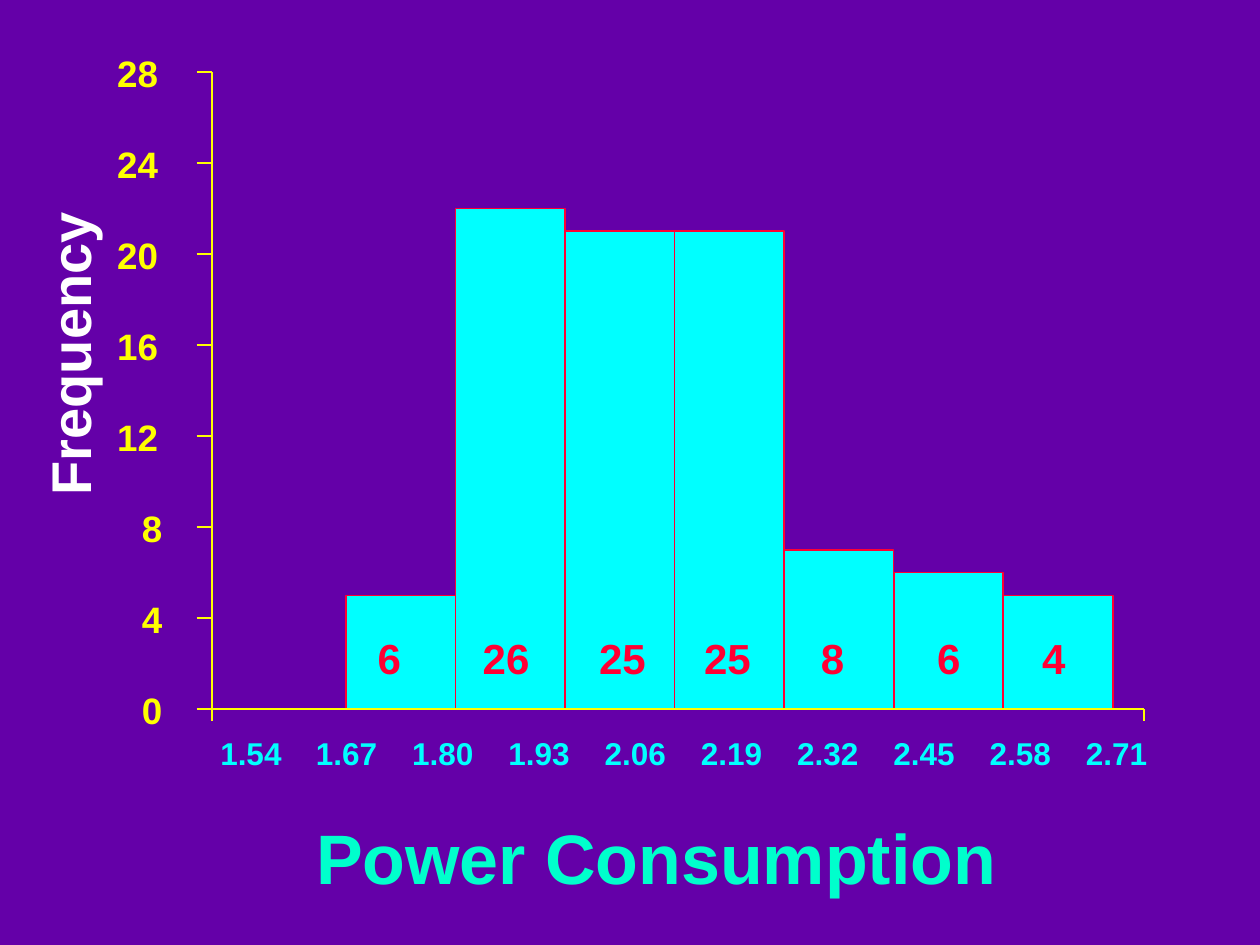
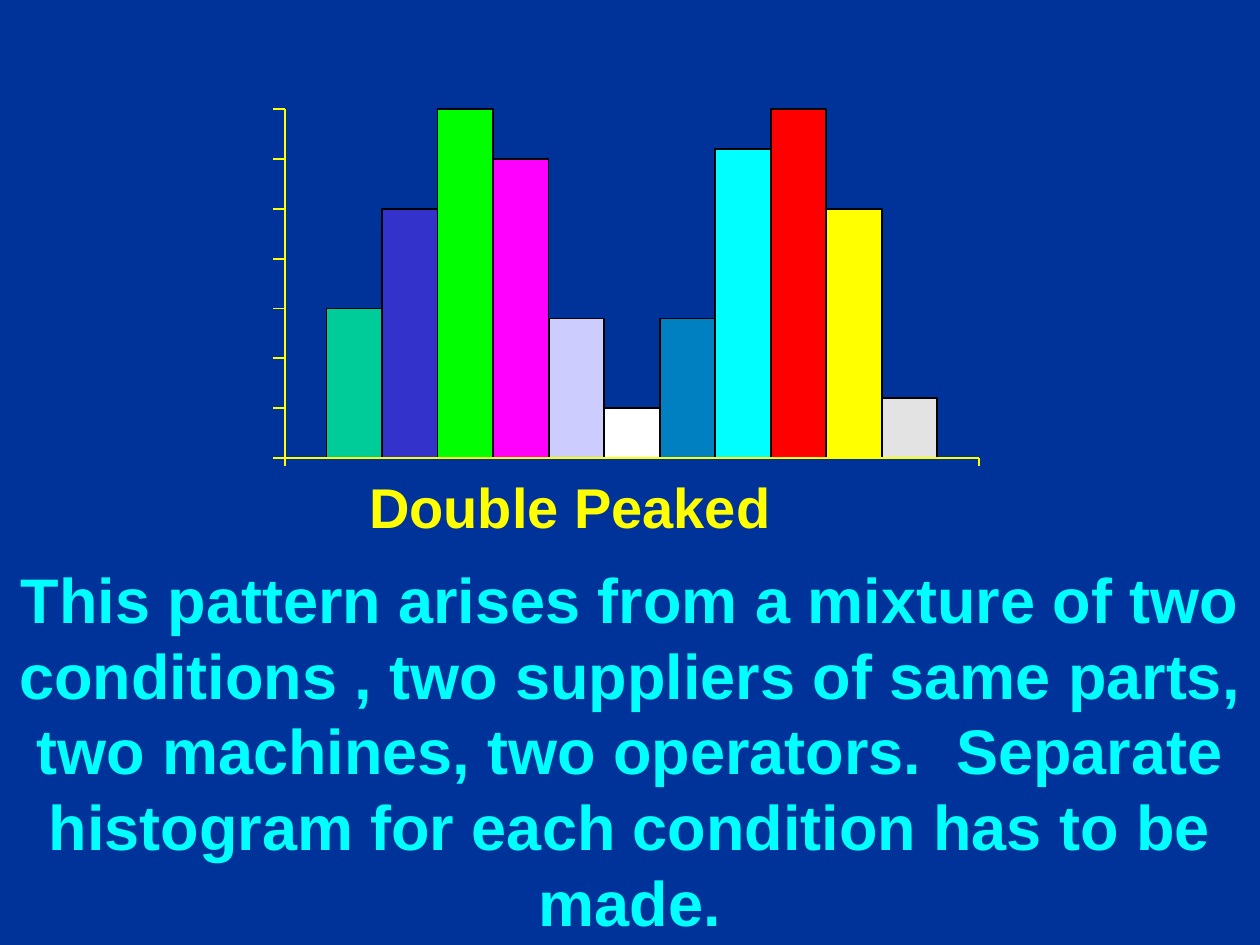
from dataclasses import dataclass

from lxml.etree import SubElement as Sub
from pptx import Presentation
from pptx.dml.color import RGBColor as RGB
from pptx.enum.shapes import MSO_CONNECTOR as Conn, MSO_SHAPE as Shape
from pptx.enum.text import PP_ALIGN as Align
from pptx.oxml.ns import qn
from pptx.util import Pt


@dataclass(frozen=True)
class Theme:
    font: str = "Arial"
    purple: str = "6400A8"
    navy: str = "003399"
    cyan: str = "00FFFF"
    mint: str = "00FFCC"
    yellow: str = "FFFF00"
    red: str = "FF0033"
    white: str = "FFFFFF"
    black: str = "000000"
    peaks: tuple = ("00CC99", "3333CC", "00FF00", "FF00FF", "CCCCFF", "FFFFFF",
                    "0080C0", "00FFFF", "FF0000", "FFFF00", "E3E3E3")
    line: float = 1
    title: int = 40
    body: int = 36
    label: int = 32
    count: int = 24
    scale: int = 21
    bound: int = 18


@dataclass(frozen=True)
class Axes:
    """Frame of a histogram; seven equal steps rise from base."""
    left: float
    right: float
    base: float
    step: float
    tick: float
    foot: float
    steps: int = 7


T = Theme()


def add_slide(deck, color):
    slide = deck.slides.add_slide(deck.slide_layouts[6])
    fill = slide.background.fill
    fill.solid()
    fill.fore_color.rgb = RGB.from_string(color)
    return slide


def add_text(slide, text, box, size, color, align=Align.LEFT, wrap=True, tabs=()):
    """Bold text; tabs are centred stops in points from the text edge."""
    shape = slide.shapes.add_textbox(*map(Pt, box))
    frame = shape.text_frame
    frame.word_wrap = wrap
    para = frame.paragraphs[0]
    para.alignment = align
    if tabs:
        stops = Sub(para._p.get_or_add_pPr(), qn("a:tabLst"))
        for pos in tabs:
            Sub(stops, qn("a:tab"), pos=str(int(Pt(pos))), algn="ctr")
    run = para.add_run()
    run.text = text
    form = {"name": T.font, "size": Pt(size), "bold": True}
    for key, value in form.items():
        setattr(run.font, key, value)
    run.font.color.rgb = RGB.from_string(color)
    return shape


def add_row(slide, words, box, size, color, tabs):
    """One line of words, each centred on its own tab stop."""
    text = "".join("\t" + word for word in words)
    add_text(slide, text, box, size, color, tabs=tabs)


def add_line(slide, x1, y1, x2, y2):
    line = slide.shapes.add_connector(Conn.STRAIGHT, *map(Pt, (x1, y1, x2, y2)))
    line.line.color.rgb = RGB.from_string(T.yellow)
    line.line.width = Pt(T.line)
    Sub(line._element.spPr, qn("a:effectLst"))


def add_bars(slide, axes, left, width, values, fills, edge, unit):
    """Touching bars; unit is the height of a value of one."""
    for i, (value, color) in enumerate(zip(values, fills)):
        high = value * unit
        box = left + i * width, axes.base - high, width, high
        bar = slide.shapes.add_shape(Shape.RECTANGLE, *map(Pt, box))
        bar.shadow.inherit = False
        bar.fill.solid()
        bar.fill.fore_color.rgb = RGB.from_string(color)
        bar.line.color.rgb = RGB.from_string(edge)
        bar.line.width = Pt(T.line)


def add_axes(slide, axes):
    left, right, base = axes.left, axes.right, axes.base
    add_line(slide, left, base - axes.steps * axes.step, left, base)
    for i in range(axes.steps + 1):
        y = base - i * axes.step
        add_line(slide, left - axes.tick, y, left, y)
    add_line(slide, left, base, right, base)
    for x in (left, right):
        add_line(slide, x, base + axes.foot, x, base)


def power_slide(deck):
    slide = add_slide(deck, T.purple)
    add_text(slide, "Power Consumption", (108, 462, 534, 55), T.title, T.mint,
             Align.CENTER)

    axes = Axes(left=121, right=653.8, base=405.2, step=52, tick=8.6, foot=6.6)
    freqs = 5, 22, 21, 21, 7, 6, 5
    add_bars(slide, axes, 197.7, 62.6, freqs, [T.cyan] * len(freqs), T.red,
             axes.step / 4)
    add_axes(slide, axes)

    for i in range(axes.steps + 1):
        mark = str(4 * i)
        left, width = (74, 26) if len(mark) == 1 else (59.8, 38)
        top = axes.base - 15.6 - i * axes.step
        add_text(slide, mark, (left, top, width, 32), T.scale, T.yellow, wrap=False)

    bounds = [f"{1.54 + 0.13 * i:.2f}" for i in range(10)]
    add_row(slide, bounds, (118.8, 416, 560, 29), T.bound, T.cyan,
            [17.2 + 55 * i for i in range(10)])
    name = add_text(slide, "Frequency", (-49, 179.3, 176.4, 45.4), T.label, T.white,
                    wrap=False)
    name.rotation = 270
    counts = "6", "26", "25", "25", "8", "6", "4"
    add_row(slide, counts, (201.6, 357.8, 430, 36), T.count, T.red,
            (13.7, 80.5, 147, 207, 267, 333.5, 393.5))


def peak_slide(deck):
    slide = add_slide(deck, T.navy)
    add_text(slide, "This pattern arises from a mixture of two conditions , "
             "two suppliers of same parts, two machines, two operators.  "
             "Separate histogram for each condition has to be made.",
             (0, 316.8, 720, 223), T.body, T.cyan, Align.CENTER)

    axes = Axes(left=162.9, right=559.3, base=261.7, step=28.46, tick=6.6, foot=4.6)
    highs = 3, 5, 7, 6, 2.8, 1, 2.8, 6.2, 7, 5, 1.2
    add_bars(slide, axes, 186.6, 31.73, highs, T.peaks, T.black, axes.step)
    add_axes(slide, axes)
    add_text(slide, "Double Peaked", (203.8, 266.4, 270, 46), T.label, T.yellow)


def main():
    deck = Presentation()
    deck.slide_width, deck.slide_height = Pt(720), Pt(540)
    power_slide(deck)
    peak_slide(deck)
    deck.save("out.pptx")


if __name__ == "__main__":
    main()
